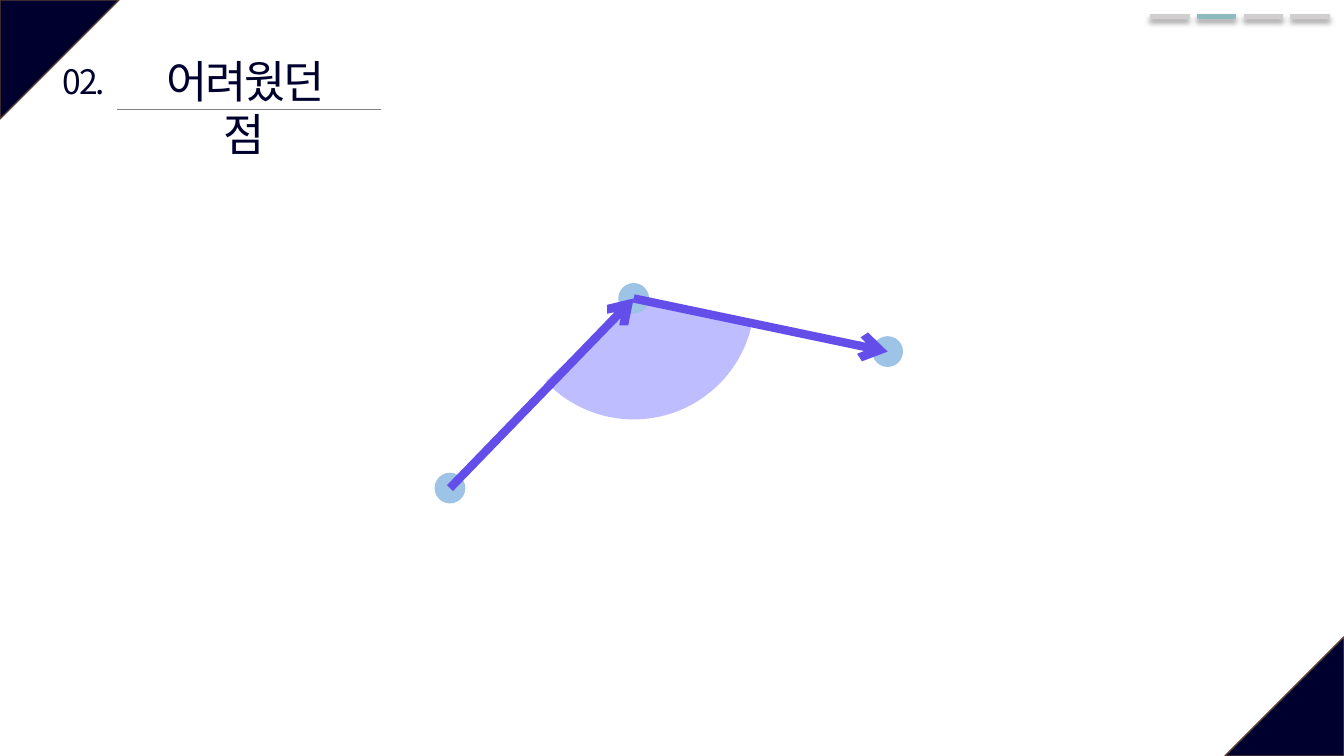
from dataclasses import dataclass

from lxml import etree
from pptx import Presentation
from pptx.dml.color import RGBColor
from pptx.enum.shapes import MSO_CONNECTOR, MSO_SHAPE
from pptx.enum.text import PP_ALIGN
from pptx.oxml.ns import qn
from pptx.util import Cm, Pt

TRIANGLE = MSO_SHAPE.ISOSCELES_TRIANGLE
ARC = MSO_SHAPE.ARC
OVAL = MSO_SHAPE.OVAL
STRAIGHT = MSO_CONNECTOR.STRAIGHT
CENTER = PP_ALIGN.CENTER

FONT = "Noto Sans CJK KR"
COLORS = {
    "navy": "00002F",
    "brown": "5B3F33",
    "lavender": "BDBDFF",
    "rule": "808080",
    "tab": "D0CECE",
    "active": "8DBABD",
    "node": "9DC3E6",
    "arrow": "634EEA",
    "shadow": "000000",
}
WIDTH, HEIGHT = 33.87, 19.05
CORNER = 3.0
NODE_SIZE = 0.74
ARC_SIZE = 6.02
TAB_COUNT, ACTIVE_TAB = 4, 1
TAB_LEFT, TAB_Y, TAB_WIDTH, TAB_PITCH = 28.98, 0.41, 1.0, 1.18


@dataclass(frozen=True)
class Point:
    x: float
    y: float


@dataclass(frozen=True)
class Corner:
    left: float
    top: float
    rotation: int


@dataclass(frozen=True)
class Label:
    text: str
    left: float
    top: float
    width: float
    height: float
    size: int
    wrap: bool


CORNERS = [Corner(0, 0, 90), Corner(WIDTH - CORNER, HEIGHT - CORNER, 270)]
LABELS = [
    Label("어려웠던 점", 3.36, 1.22, 5.6, 1.63, 32, True),
    Label("02.", 1.27, 1.4, 1.7, 1.27, 24, False),
]
START, VERTEX, END = Point(11.34, 12.3), Point(15.97, 7.52), Point(22.37, 8.86)


def rgb(name: str) -> RGBColor:
    return RGBColor.from_string(COLORS[name])


def add_figure(slide, kind, left: float, top: float, size: float,
               fill: str, line: str, weight: float):
    """Add a preset shape with a square frame."""
    sp = slide.shapes.add_shape(kind, Cm(left), Cm(top), Cm(size), Cm(size))
    sp.shadow.inherit = False
    sp.fill.solid()
    sp.fill.fore_color.rgb = rgb(fill)
    sp.line.color.rgb = rgb(line)
    sp.line.width = Pt(weight)
    return sp


def add_line(slide, start: Point, end: Point, color: str, weight: float):
    """Add a straight line and return it with its empty effect list."""
    line = slide.shapes.add_connector(
        STRAIGHT, Cm(start.x), Cm(start.y), Cm(end.x), Cm(end.y))
    line.line.color.rgb = rgb(color)
    line.line.width = Pt(weight)
    effects = etree.SubElement(line._element.spPr, qn("a:effectLst"))
    return line, effects


def add_arrow(slide, start: Point, end: Point) -> None:
    line, _ = add_line(slide, start, end, "arrow", 6)
    etree.SubElement(line.line._get_or_add_ln(), qn("a:tailEnd"), type="arrow")


def add_tab(slide, index: int) -> None:
    """Add one progress mark with a soft shadow below it."""
    left = TAB_LEFT + index * TAB_PITCH
    color = "active" if index == ACTIVE_TAB else "tab"
    _, effects = add_line(
        slide, Point(left, TAB_Y), Point(left + TAB_WIDTH, TAB_Y), color, 3.5)
    shadow = etree.SubElement(
        effects, qn("a:outerShdw"), blurRad=str(Pt(4)), dist=str(Pt(3)),
        dir="5400000", algn="t", rotWithShape="0")
    tint = etree.SubElement(shadow, qn("a:srgbClr"), val=COLORS["shadow"])
    etree.SubElement(tint, qn("a:alpha"), val="40000")


def add_label(slide, label: Label) -> None:
    tb = slide.shapes.add_textbox(
        Cm(label.left), Cm(label.top), Cm(label.width), Cm(label.height))
    tf = tb.text_frame
    tf.word_wrap = label.wrap
    p = tf.paragraphs[0]
    p.text = label.text
    p.alignment = CENTER
    r = p.runs[0]
    r.font.size = Pt(label.size)
    r.font.name = FONT
    r.font.color.rgb = rgb("navy")
    props = r.font._element
    props.set("spc", "-150")
    etree.SubElement(props, qn("a:ea"), typeface=FONT)


def add_node(slide, center: Point) -> None:
    half = NODE_SIZE / 2
    add_figure(slide, OVAL, center.x - half, center.y - half, NODE_SIZE,
               "node", "node", 1)


def add_angle(slide, center: Point) -> None:
    half = ARC_SIZE / 2
    arc = add_figure(slide, ARC, center.x - half, center.y - half, ARC_SIZE,
                     "lavender", "lavender", 2.25)
    arc.adjustments[0] = 6.32
    arc.adjustments[1] = 81.97


def main() -> None:
    prs = Presentation()
    prs.slide_width, prs.slide_height = Cm(WIDTH), Cm(HEIGHT)
    slide = prs.slides.add_slide(prs.slide_layouts[6])

    for corner in CORNERS:
        sp = add_figure(slide, TRIANGLE, corner.left, corner.top, CORNER,
                        "navy", "brown", 1)
        sp.adjustments[0] = 0
        sp.rotation = corner.rotation

    add_angle(slide, VERTEX)
    add_line(slide, Point(2.95, 2.75), Point(9.6, 2.75), "rule", 0.5)
    for label in LABELS:
        add_label(slide, label)
    for index in range(TAB_COUNT):
        add_tab(slide, index)
    for center in (START, VERTEX, END):
        add_node(slide, center)
    add_arrow(slide, START, VERTEX)
    add_arrow(slide, VERTEX, END)

    prs.save("out.pptx")


if __name__ == "__main__":
    main()
